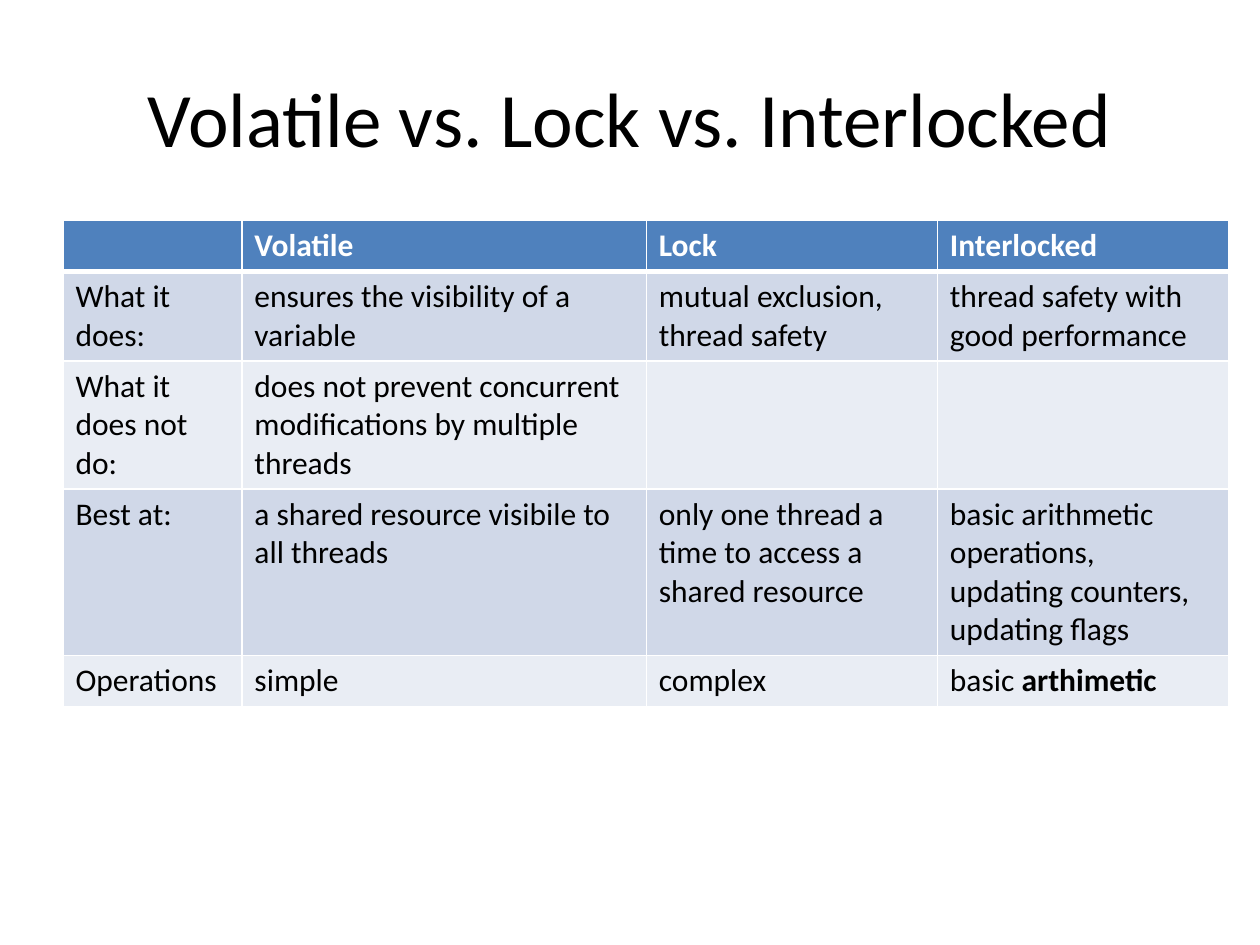
import pptx
import pptx.dml.color
import pptx.enum.text
import pptx.oxml
import pptx.oxml.ns
import pptx.util

RGB = pptx.dml.color.RGBColor
WHITE = RGB(0xFF, 0xFF, 0xFF)
BLACK = RGB(0x00, 0x00, 0x00)
HEADER_BLUE = RGB(0x4F, 0x81, 0xBD)
BANDS = (RGB(0xD0, 0xD8, 0xE8), RGB(0xE9, 0xED, 0xF4))
ALIGN = pptx.enum.text.PP_ALIGN
ANCHOR = pptx.enum.text.MSO_ANCHOR


def write(frame, paragraphs, size=18, color=BLACK, bold=False, align=ALIGN.LEFT, font="Calibri"):
    """Fill a text frame; a paragraph is a string or a list of (text, bold) runs."""
    for index, content in enumerate(paragraphs):
        paragraph = frame.paragraphs[0] if index == 0 else frame.add_paragraph()
        paragraph.alignment = align
        runs = [(content, bold)] if isinstance(content, str) else content
        for words, heavy in runs:
            run = paragraph.add_run()
            run.text = words
            run.font.name = font
            run.font.size = pptx.util.Pt(size)
            run.font.bold = heavy
            run.font.color.rgb = color


class Deck:
    def __init__(self, width=10, height=7.5):
        self.show = pptx.Presentation()
        self.show.slide_width = pptx.util.Inches(width)
        self.show.slide_height = pptx.util.Inches(height)
        self.slide = self.show.slides.add_slide(self.show.slide_layouts[5])
        self.slide.background.fill.solid()
        self.slide.background.fill.fore_color.rgb = WHITE

    def box(self, left, top, width, height):
        """Turn shares of the slide into lengths."""
        across, down = self.show.slide_width, self.show.slide_height
        return int(left * across), int(top * down), int(width * across), int(height * down)

    def title(self, words, *shares):
        heading = self.slide.shapes.title
        heading.left, heading.top, heading.width, heading.height = self.box(*shares)
        heading.text_frame.word_wrap = True
        heading.text_frame.vertical_anchor = ANCHOR.MIDDLE
        write(heading.text_frame, [words], size=44, align=ALIGN.CENTER)

    def borders(self, cell, **widths):
        """Draw white cell borders; widths are in points, keyed L, R, T, B."""
        properties = cell._tc.get_or_add_tcPr()
        for index, side in enumerate("LRTB"):
            line = pptx.oxml.parse_xml(
                f'<a:ln{side} {pptx.oxml.ns.nsdecls("a")} w="{pptx.util.Pt(widths.get(side, 1))}">'
                f'<a:solidFill><a:srgbClr val="{WHITE}"/></a:solidFill></a:ln{side}>')
            properties.insert(index, line)

    def table(self, rows, column_shares, *shares):
        grid = self.slide.shapes.add_table(len(rows), len(column_shares), *self.box(*shares)).table
        for column, share in zip(grid.columns, column_shares):
            column.width = int(share * self.show.slide_width)
        for r, row in enumerate(rows):
            header = r == 0
            for c, paragraphs in enumerate(row):
                cell = grid.cell(r, c)
                cell.fill.solid()
                cell.fill.fore_color.rgb = HEADER_BLUE if header else BANDS[(r - 1) % 2]
                write(cell.text_frame, paragraphs, bold=header, color=WHITE if header else BLACK)
                # A thick rule parts the header from the body
                self.borders(cell, B=3 if header else 1, T=3 if r == 1 else 1)


deck = Deck()

# Heading
deck.title("Volatile vs. Lock vs. Interlocked", 0.05, 0.04, 0.9, 1 / 6)

# Comparison: each cell is a list of paragraphs
comparison = [
    [[], ["Volatile"], ["Lock"], ["Interlocked"]],
    [["What it does: "], ["ensures the visibility of a variable"],
     ["mutual exclusion, thread safety"], ["thread safety with good performance"]],
    [["What it does not do: "],
     ["does not prevent concurrent modifications by multiple threads"], [], []],
    [["Best at:"], ["a shared resource visibile to all threads"],
     ["only one thread a time to access a shared resource"],
     ["basic arithmetic\u00a0", "operations,", "updating counters, updating flags"]],
    [["Operations"], ["simple"], ["complex"], [[("basic ", False), ("arthimetic", True)]]],
]
deck.table(comparison, (0.142, 0.321, 0.231, 0.231), 0.05, 7 / 30, 0.925, 0.27)

deck.show.save("out.pptx")
